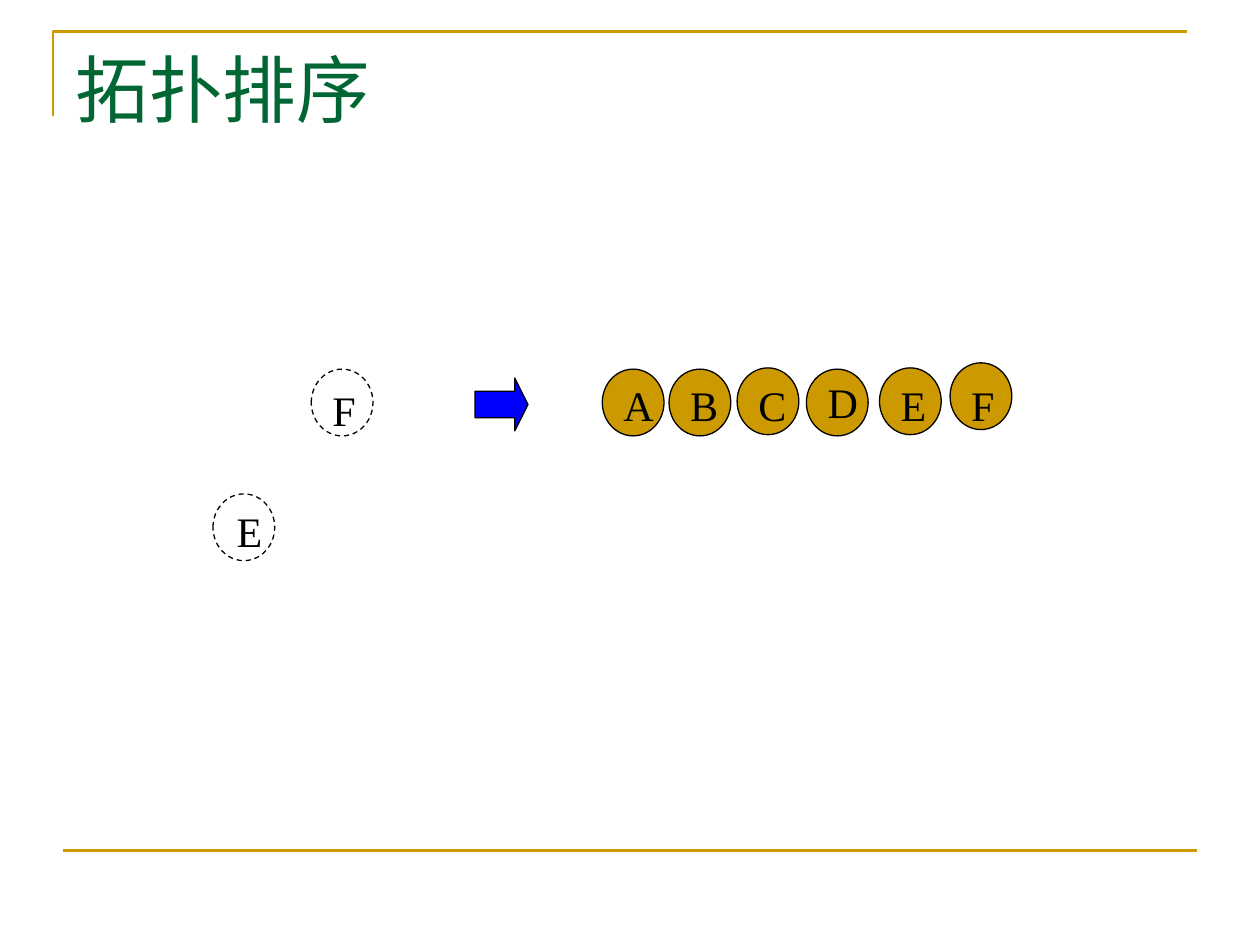
from lxml.etree import SubElement
from pptx import Presentation
from pptx.dml.color import RGBColor
from pptx.enum.dml import MSO_LINE_DASH_STYLE as Dash
from pptx.enum.shapes import MSO_CONNECTOR_TYPE as Connector, MSO_SHAPE as Shape
from pptx.enum.text import MSO_ANCHOR as Anchor, MSO_AUTO_SIZE as AutoSize, PP_ALIGN as Align
from pptx.oxml.ns import qn
from pptx.util import Inches, Pt

GOLD = RGBColor(0xCC, 0x99, 0x00)
GREEN = RGBColor(0x00, 0x66, 0x33)
BLUE = RGBColor(0x00, 0x00, 0xFF)
BLACK = RGBColor(0x00, 0x00, 0x00)
FONT = "Times New Roman"
NODE_WIDTH, NODE_HEIGHT = 0.49, 0.53
REMOVED_NODES = [("F", 2.47, 2.93, 0.07, 3), ("E", 1.69, 3.92, 0.09, 3.96)]
SORTED_NODES = [
    ("A", 4.78, 2.93, 0.07, 2.96),
    ("B", 5.31, 2.93, 0.07, 2.96),
    ("C", 5.85, 2.92, 0.07, 2.96),
    ("D", 6.4, 2.93, 0.07, 2.94),
    ("E", 6.98, 2.92, 0.07, 2.96),
    ("F", 7.54, 2.88, 0.07, 2.96),
]


def style_text(frame, text, size, color):
    """Fill a frame with one left-aligned line of text."""
    frame.text = text
    frame.word_wrap = True
    frame.auto_size = AutoSize.NONE
    para = frame.paragraphs[0]
    para.alignment = Align.LEFT
    font = para.runs[0].font
    font.name, font.size, font.color.rgb = FONT, Pt(size), color


def style_line(line, color, width):
    """Set the colour and width of a line."""
    line.color.rgb = color
    line.width = Pt(width)


def add_frame(page, left, top, width, height):
    """Draw the gold corner at the top left and the rule at the bottom."""
    corner_height, rule_offset = 0.67, 0.08
    builder = page.shapes.build_freeform(Inches(left), Inches(top + corner_height))
    builder.add_line_segments(
        [(Inches(left), Inches(top)), (Inches(left + width), Inches(top))], close=False
    )
    corner = builder.convert_to_shape()
    corner.shadow.inherit = False
    corner.fill.background()
    style_line(corner.line, GOLD, 1.5)
    start, bottom = left + rule_offset, top + height
    rule = page.shapes.add_connector(
        Connector.STRAIGHT, Inches(start), Inches(bottom), Inches(start + width), Inches(bottom)
    )
    SubElement(rule._element.spPr, qn("a:effectLst"))
    style_line(rule.line, GOLD, 1.5)


def add_title(page, left, top, width, height):
    """Place the slide title in the given box."""
    title = page.shapes.title
    title.left, title.top = Inches(left), Inches(top)
    title.width, title.height = Inches(width), Inches(height)
    style_text(title.text_frame, "拓扑排序", 42, GREEN)
    title.text_frame.vertical_anchor = Anchor.TOP


def add_solid(page, kind, left, top, width, height, color=None):
    """Add a thinly outlined shape, hollow when no colour is given."""
    shape = page.shapes.add_shape(kind, Inches(left), Inches(top), Inches(width), Inches(height))
    shape.shadow.inherit = False
    style_line(shape.line, BLACK, 0.75)
    if color is None:
        shape.fill.background()
    else:
        shape.fill.solid()
        shape.fill.fore_color.rgb = color
    return shape


def add_node(page, letter, left, top, label_offset, label_top, color=None):
    """Draw a graph node with its letter, dashed when it has no colour."""
    node = add_solid(page, Shape.OVAL, left, top, NODE_WIDTH, NODE_HEIGHT, color)
    if color is None:
        node.line.dash_style = Dash.DASH
    label = page.shapes.add_textbox(
        Inches(left + label_offset), Inches(label_top), Inches(0.33), Inches(0.5)
    )
    style_text(label.text_frame, letter, 24, BLACK)
    label.text_frame.vertical_anchor = Anchor.BOTTOM


def add_arrow(page, left, top, size):
    """Draw the block arrow from the graph to the sorted list."""
    arrow = add_solid(page, Shape.RIGHT_ARROW, left, top, size, size, BLUE)
    arrow.adjustments[0], arrow.adjustments[1] = 0.5, 0.25


def main():
    """Build and save the topological sort slide."""
    deck = Presentation()
    deck.slide_width, deck.slide_height = Inches(10), Inches(7.5)
    page = deck.slides.add_slide(deck.slide_layouts[5])
    add_frame(page, 0.42, 0.25, 9, 6.5)
    add_title(page, 0.5, 0.3, 9, 1.25)
    for node in REMOVED_NODES:
        add_node(page, *node)
    add_arrow(page, 3.77, 3, 0.42)
    for node in SORTED_NODES:
        add_node(page, *node, color=GOLD)
    deck.save("out.pptx")


if __name__ == "__main__":
    main()
